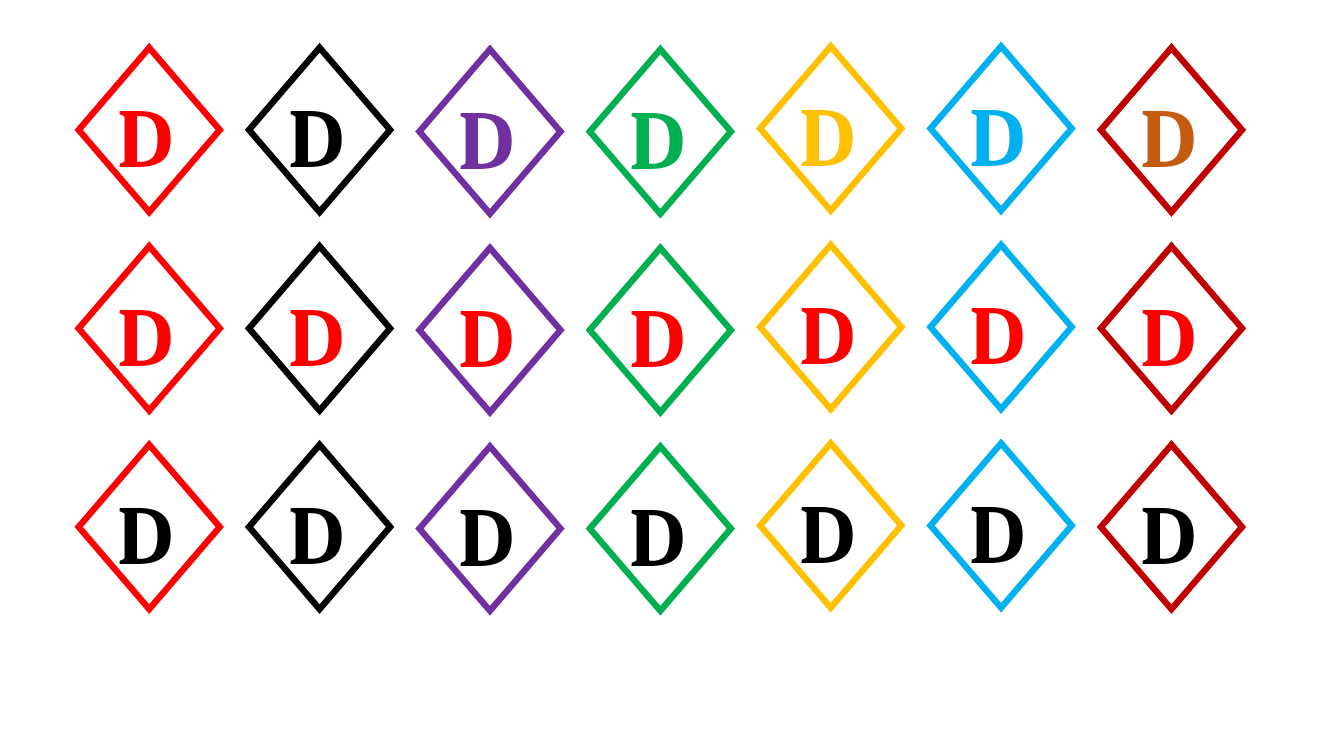
from pptx import Presentation
from pptx.dml.color import RGBColor
from pptx.enum.shapes import MSO_SHAPE
from pptx.enum.text import MSO_AUTO_SIZE
from pptx.oxml.ns import qn
from pptx.util import Pt
from lxml.etree import SubElement

COLORS = {
    "red": "FF0000", "black": "000000", "purple": "7030A0", "green": "00B050",
    "gold": "FFC000", "blue": "00B0F0", "dark red": "C00000", "brown": "C55A11",
}

deck = Presentation()
deck.slide_width, deck.slide_height = Pt(960), Pt(540)
page = deck.slides.add_slide(deck.slide_layouts[6])

# Grid: outline colour and vertical shift per column, letter colours per row
columns = [("red", 0), ("black", 0), ("purple", 1.2), ("green", 1.2),
           ("gold", -1), ("blue", -1), ("dark red", 0)]
outlines = [outline for outline, shift in columns]
letter_rows = [outlines[:-1] + ["brown"], ["red"] * 7, ["black"] * 7]
LEFT, TOP = 56.2, 34.1
COLUMN_STEP, ROW_STEP = 121.7, 141.8

for row, letter_colors in enumerate(letter_rows):
    for column, (outline, shift) in enumerate(columns):
        left = LEFT + column * COLUMN_STEP
        top = TOP + row * ROW_STEP + shift

        # Diamond outline with sharp corners
        diamond = page.shapes.add_shape(
            MSO_SHAPE.DIAMOND, Pt(left), Pt(top), Pt(100.8), Pt(117.4))
        diamond.shadow.inherit = False
        diamond.fill.background()
        diamond.line.color.rgb = RGBColor.from_string(COLORS[outline])
        diamond.line.width = Pt(4.5)
        SubElement(diamond.line._get_or_add_ln(), qn("a:miter"), lim="800000")

        # Letter
        box = page.shapes.add_textbox(
            Pt(left + 20.9), Pt(top + 22), Pt(56.2), Pt(79.9))
        frame = box.text_frame
        frame.word_wrap = True
        frame.auto_size = MSO_AUTO_SIZE.SHAPE_TO_FIT_TEXT
        frame.text = "D"
        font = frame.paragraphs[0].runs[0].font
        font.name, font.size, font.bold = "Cambria", Pt(60), True
        font.color.rgb = RGBColor.from_string(COLORS[letter_colors[column]])

deck.save("out.pptx")
